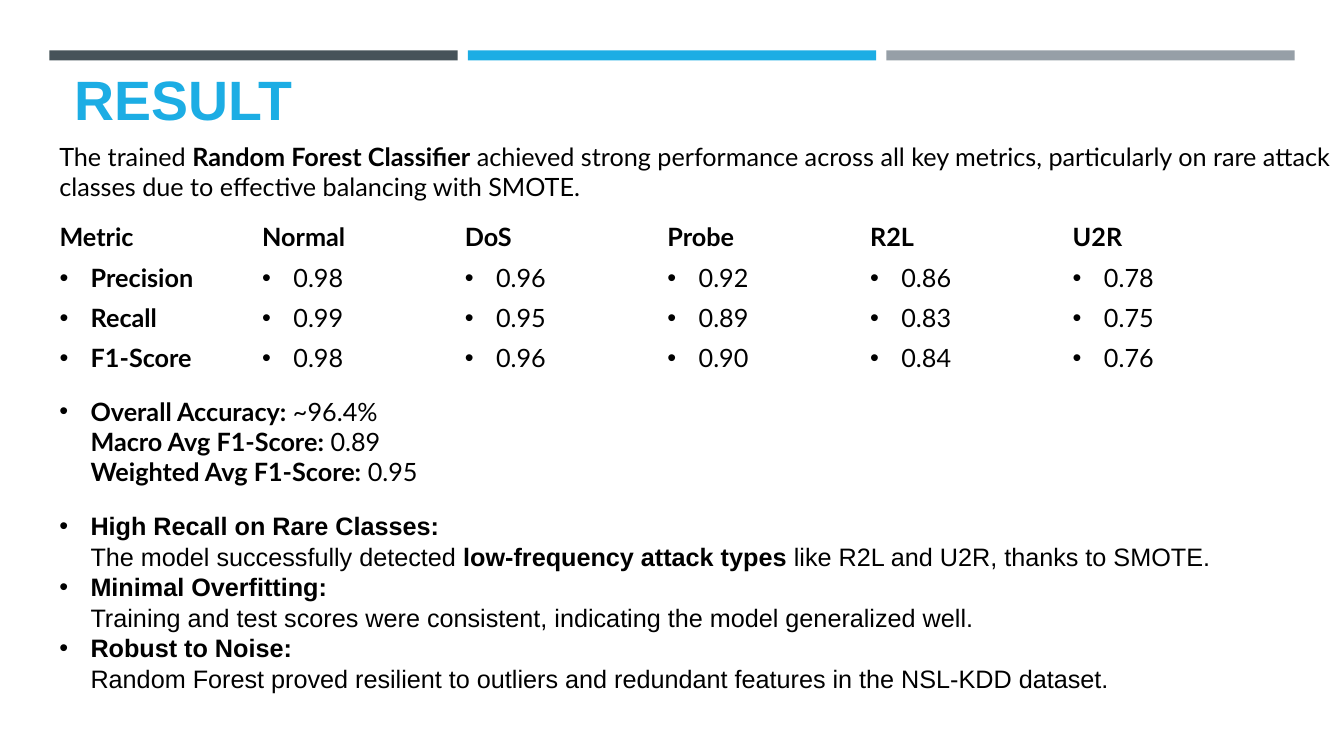
from dataclasses import dataclass

from lxml import etree
from pptx import Presentation
from pptx.dml.color import RGBColor
from pptx.enum.shapes import MSO_SHAPE
from pptx.enum.text import MSO_ANCHOR
from pptx.oxml.ns import qn
from pptx.util import Inches, Pt

RECTANGLE = MSO_SHAPE.RECTANGLE
TOP, MIDDLE, BOTTOM = MSO_ANCHOR.TOP, MSO_ANCHOR.MIDDLE, MSO_ANCHOR.BOTTOM


@dataclass(frozen=True)
class Theme:
    """Colours, fonts and type sizes of the slide."""
    slate: RGBColor = RGBColor(0x46, 0x53, 0x59)
    blue: RGBColor = RGBColor(0x1C, 0xAD, 0xE4)
    grey: RGBColor = RGBColor(0x96, 0x9F, 0xA7)
    black: RGBColor = RGBColor(0, 0, 0)
    heading_font: str = "Arial"
    body_font: str = "Lato"
    title_size: float = 39.6
    body_size: float = 18


THEME = Theme()
LEFT = 0.49
INDENT = 0.31

INTRO = (
    "The trained **Random Forest Classifier** achieved strong performance across all key "
    "metrics, particularly on rare attack classes due to effective balancing with SMOTE."
)
METRICS = [
    ["Metric", "Normal", "DoS", "Probe", "R2L", "U2R"],
    ["Precision", "0.98", "0.96", "0.92", "0.86", "0.78"],
    ["Recall", "0.99", "0.95", "0.89", "0.83", "0.75"],
    ["F1-Score", "0.98", "0.96", "0.90", "0.84", "0.76"],
]
SUMMARY = (
    "**Overall Accuracy:** ~96.4%\n"
    "**Macro Avg F1-Score:** 0.89\n"
    "**Weighted Avg F1-Score:** 0.95"
)
FINDINGS = [
    "**High Recall on Rare Classes:**\nThe model successfully detected "
    "**low-frequency attack types** like R2L and U2R, thanks to SMOTE.",
    "**Minimal Overfitting:**\nTraining and test scores were consistent, "
    "indicating the model generalized well.",
    "**Robust to Noise:**\nRandom Forest proved resilient to outliers and "
    "redundant features in the NSL-KDD dataset.",
]


def add_bullet(paragraph):
    """Give a paragraph a round bullet and a hanging indent."""
    properties = paragraph._p.get_or_add_pPr()
    properties.set("marL", str(Inches(INDENT)))
    properties.set("indent", str(-Inches(INDENT)))
    etree.SubElement(properties, qn("a:buFont")).set("typeface", "Arial")
    etree.SubElement(properties, qn("a:buChar")).set("char", "•")


def write_paragraph(paragraph, text, font=THEME.body_font, size=THEME.body_size,
                    color=THEME.black, bullet=False):
    """Write text in which ** switches bold and a newline breaks the line."""
    paragraph.font.name = font
    paragraph.font.size = Pt(size)
    paragraph.font.color.rgb = color
    if bullet:
        add_bullet(paragraph)
    for index, part in enumerate(text.split("**")):
        for line_number, line in enumerate(part.split("\n")):
            if line_number:
                paragraph.add_line_break()
            if line:
                run = paragraph.add_run()
                run.text = line
                run.font.bold = index % 2 == 1


def add_text(slide, box, texts, anchor=TOP, line_spacing=None, **style):
    """Add a wrapping text box with one paragraph per text."""
    frame = slide.shapes.add_textbox(*map(Inches, box)).text_frame
    frame.word_wrap = True
    frame.vertical_anchor = anchor
    for index, text in enumerate(texts):
        paragraph = frame.add_paragraph() if index else frame.paragraphs[0]
        paragraph.line_spacing = line_spacing
        write_paragraph(paragraph, text, **style)


def add_header_bars(slide):
    """Add the three coloured bars along the top."""
    for index, color in enumerate([THEME.slate, THEME.blue, THEME.grey]):
        bar = slide.shapes.add_shape(
            RECTANGLE, Inches(LEFT + 4.15 * index), Inches(0.5), Inches(4.05), Inches(0.1))
        bar.shadow.inherit = False
        bar.fill.solid()
        bar.fill.fore_color.rgb = color
        bar.line.fill.background()


def add_metrics_table(slide):
    """Add the unfilled table of scores by class."""
    table = slide.shapes.add_table(
        len(METRICS), len(METRICS[0]), Inches(LEFT), Inches(2.15),
        Inches(12.06), Inches(1.6)).table
    table.first_row = False
    table.horz_banding = False
    for row, values in enumerate(METRICS):
        for column, value in enumerate(values):
            cell = table.cell(row, column)
            cell.fill.background()
            cell.vertical_anchor = MIDDLE
            is_header = row == 0 or column == 0
            write_paragraph(cell.text_frame.paragraphs[0],
                            f"**{value}**" if is_header else value, bullet=row > 0)
            for side in ("a:lnR", "a:lnL"):
                border = etree.Element(qn(side))
                etree.SubElement(border, qn("a:noFill"))
                cell._tc.tcPr.insert(0, border)
            for position, side in enumerate(("a:lnT", "a:lnB"), start=2):
                border = etree.Element(qn(side))
                etree.SubElement(border, qn("a:noFill"))
                cell._tc.tcPr.insert(position, border)


def main():
    """Build the slide and save it."""
    presentation = Presentation()
    presentation.slide_width = Inches(13.33)
    presentation.slide_height = Inches(7.5)
    slide = presentation.slides.add_slide(presentation.slide_layouts[6])
    add_header_bars(slide)
    add_text(slide, (0.64, 0.77, 12.06, 0.58), ["**RESULT**"], anchor=BOTTOM,
             font=THEME.heading_font, size=THEME.title_size, color=THEME.blue)
    add_text(slide, (LEFT, 1.35, 12.84, 0.71), [INTRO])
    add_metrics_table(slide)
    add_text(slide, (LEFT, 3.88, 6.66, 1.01), [SUMMARY], bullet=True)
    add_text(slide, (LEFT, 5.01, 12.3, 1.92), FINDINGS, anchor=MIDDLE,
             line_spacing=Pt(21.8), font=THEME.heading_font, bullet=True)
    presentation.save("out.pptx")


if __name__ == "__main__":
    main()
